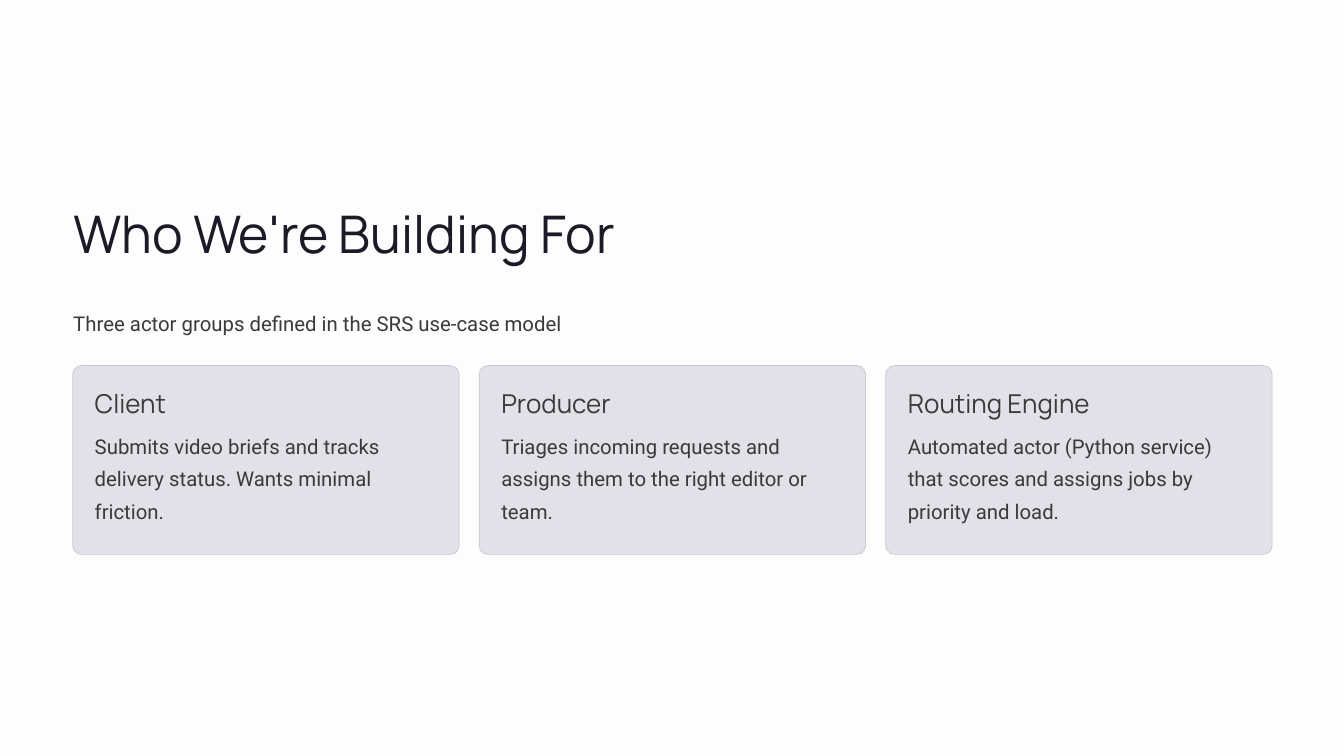
from pptx import Presentation
from pptx.dml.color import RGBColor
from pptx.enum.shapes import MSO_SHAPE
from pptx.util import Pt

# Content
TITLE = "Who We're Building For"
SUBTITLE = "Three actor groups defined in the SRS use-case model"
ACTORS = [
    ("Client", "Submits video briefs and tracks delivery status. Wants minimal friction."),
    ("Producer", "Triages incoming requests and assigns them to the right editor or team."),
    ("Routing Engine", "Automated actor (Python service) that scores and assigns jobs by "
                       "priority and load."),
]

# Styles: font, size, line spacing, colour
TITLE_STYLE = ("Manrope", 55.5, 69.3, "1B1B27")
HEADING_STYLE = ("Manrope", 27.8, 34.6, "3C3939")
BODY_STYLE = ("Roboto", 21.8, 34.7, "3C3939")

# Layout in points
TEXT_LEFT = 78.5
CARD_LEFT, CARD_TOP, CARD_WIDTH, CARD_HEIGHT = 77.8, 391.7, 414, 202.3
CARD_GAP, CARD_RADIUS, CARD_PADDING = 21.6, 9.4, 23.7


def color(value):
    return RGBColor.from_string(value)


def add_text(slide, text, left, top, width, height, style):
    font_name, size, spacing, ink = style
    box = slide.shapes.add_textbox(Pt(left), Pt(top), Pt(width), Pt(height))
    frame = box.text_frame
    frame.word_wrap = True
    frame.margin_left = frame.margin_right = frame.margin_top = frame.margin_bottom = 0
    paragraph = frame.paragraphs[0]
    paragraph.line_spacing = Pt(spacing)
    run = paragraph.add_run()
    run.text = text
    run.font.name = font_name
    run.font.size = Pt(size)
    run.font.color.rgb = color(ink)


def add_actor(slide, left, name, role):
    card = slide.shapes.add_shape(MSO_SHAPE.ROUNDED_RECTANGLE, Pt(left), Pt(CARD_TOP),
                                  Pt(CARD_WIDTH), Pt(CARD_HEIGHT))
    card.adjustments[0] = CARD_RADIUS / CARD_HEIGHT
    card.shadow.inherit = False
    card.fill.solid()
    card.fill.fore_color.rgb = color("E1E1EA")
    card.line.color.rgb = color("C7C7D0")
    card.line.width = Pt(0.75)
    text_left = left + CARD_PADDING
    add_text(slide, name, text_left, CARD_TOP + 22.3, 279.4, 36.7, HEADING_STYLE)
    add_text(slide, role, text_left, CARD_TOP + 64.8, 367.2, 113.8, BODY_STYLE)


def main():
    deck = Presentation()
    deck.slide_width, deck.slide_height = Pt(1440), Pt(810)
    slide = deck.slides.add_slide(deck.slide_layouts[6])
    slide.background.fill.solid()
    slide.background.fill.fore_color.rgb = color("FDFDFE")

    # Title and lead-in
    add_text(slide, TITLE, TEXT_LEFT, 213.8, 681.8, 72.7, TITLE_STYLE)
    add_text(slide, SUBTITLE, TEXT_LEFT, 324.7, 1356.5, 42.5, BODY_STYLE)

    # Actor cards
    for index, (name, role) in enumerate(ACTORS):
        add_actor(slide, CARD_LEFT + index * (CARD_WIDTH + CARD_GAP), name, role)

    deck.save("out.pptx")


if __name__ == "__main__":
    main()
